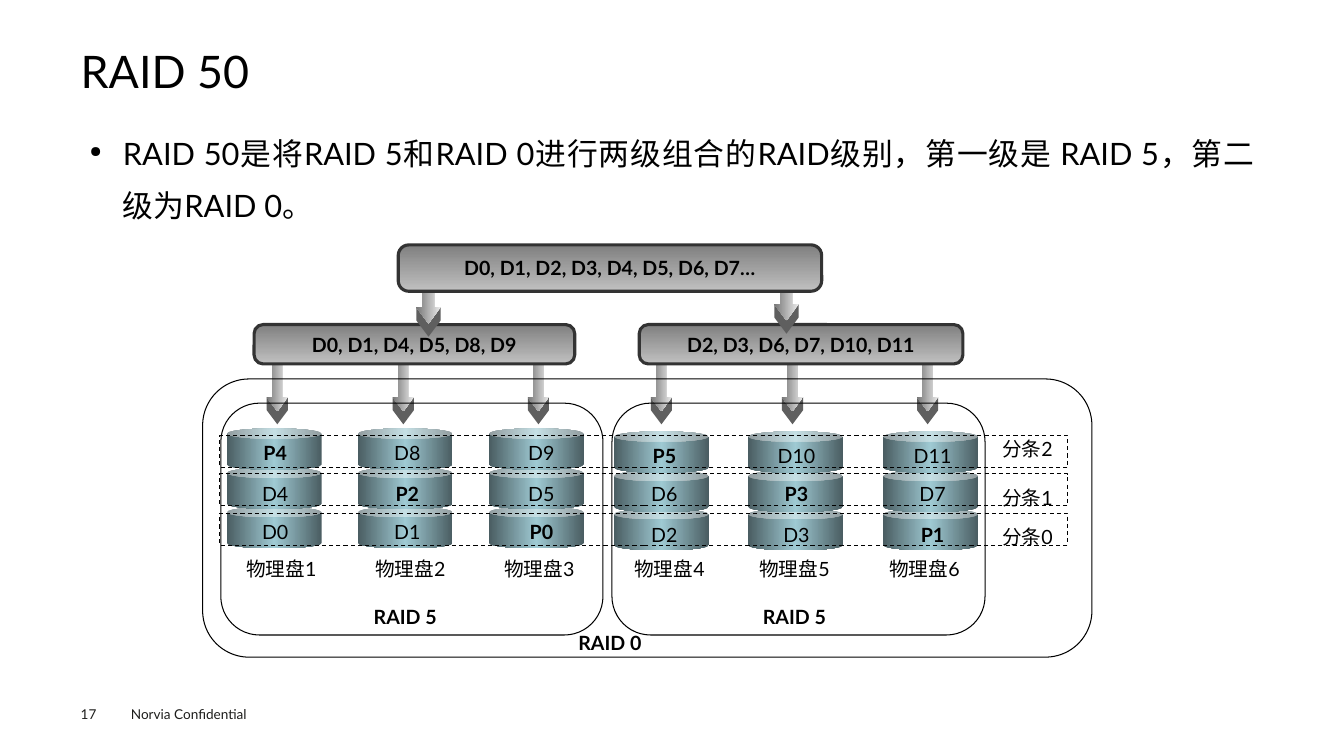
import pptx
import pptx.dml.color
import pptx.enum.dml
import pptx.enum.shapes
import pptx.enum.text
import pptx.oxml
import pptx.oxml.ns
import pptx.util
from pptx.util import Inches

SHAPES = pptx.enum.shapes.MSO_SHAPE
ALIGN = pptx.enum.text.PP_ALIGN
ANCHOR = pptx.enum.text.MSO_ANCHOR
FONT = "Lato"
BLACK = "000000"
ARROW_STOPS = [(0, "EAEAEA"), (100, "777777")]
BOX_STOPS = [(0, "808080"), (100, "C0C0C0")]
DISK_STOPS = [(0, "4A5D62"), (50, "9FCAD3"), (100, "4A5D62")]
HEAD_RATIO = 0.667
HEAD_DEPTH = 0.13
DISK_WIDTH = 0.94
DISK_HEIGHT = 0.41
TEXT_HEIGHT = 0.34

# Disk left, label centre, caption centre, arrow centre, blocks from the top down
DISKS = [
    (2.25, 2.73, 2.79, 2.75, ["P4", "D4", "D0"]),
    (3.55, 4.04, 4.07, 4.0, ["D8", "P2", "D1"]),
    (4.85, 5.37, 5.35, 5.34, ["D9", "D5", "P0"]),
    (6.09, 6.59, 6.64, 6.56, ["P5", "D6", "D2"]),
    (7.42, 7.9, 7.88, 7.86, ["D10", "P3", "D3"]),
    (8.76, 9.25, 9.17, 9.2, ["D11", "D7", "P1"]),
]
# Block tops and label tops in the two RAID 5 groups
LEFT_ROWS = [(4.25, 4.33), (4.64, 4.73), (5.03, 5.11)]
RIGHT_ROWS = [(4.28, 4.36), (4.67, 4.73), (5.05, 5.14)]


def color(value):
    return pptx.dml.color.RGBColor.from_string(value)


def style_paragraph(paragraph, size, text_color=BLACK, bold=False, align=ALIGN.LEFT):
    paragraph.alignment = align
    paragraph.font.name = FONT
    paragraph.font.size = pptx.util.Pt(size)
    paragraph.font.bold = bold
    paragraph.font.color.rgb = color(text_color)


def add_text(slide, text, left, top, width, height, size, insets=(0, 0), text_color=BLACK):
    """Add a left-aligned text box and return its paragraph."""
    frame = slide.shapes.add_textbox(
        Inches(left), Inches(top), Inches(width), Inches(height)).text_frame
    frame.word_wrap = True
    frame.margin_left = frame.margin_right = Inches(insets[0])
    frame.margin_top = frame.margin_bottom = Inches(insets[1])
    paragraph = frame.paragraphs[0]
    paragraph.text = text
    style_paragraph(paragraph, size, text_color)
    return paragraph


def add_label(slide, text, center, top, width=DISK_WIDTH, bold=False):
    paragraph = add_text(slide, text, center - width / 2, top, width, TEXT_HEIGHT, 14, (0, 0.05))
    style_paragraph(paragraph, 14, bold=bold, align=ALIGN.CENTER)


def add_plain_shape(slide, kind, left, top, width, height, adjustments=()):
    """Add a preset shape without shadow, fill or line."""
    shape = slide.shapes.add_shape(
        kind, Inches(left), Inches(top), Inches(width), Inches(height))
    shape.shadow.inherit = False
    shape.fill.background()
    shape.line.fill.background()
    for index, value in enumerate(adjustments):
        shape.adjustments[index] = value
    return shape


def set_gradient(shape, stops, angle):
    """Fill with (percent, colour) stops; the angle runs counter-clockwise."""
    shape.fill.gradient()
    shape.fill.gradient_angle = angle
    stop_list = shape._element.spPr.find(".//" + pptx.oxml.ns.qn("a:gsLst"))
    for stop in list(stop_list):
        stop_list.remove(stop)
    for percent, value in stops:
        stop_list.append(pptx.oxml.parse_xml(
            f'<a:gs {pptx.oxml.ns.nsdecls("a")} pos="{percent * 1000}">'
            f'<a:srgbClr val="{value}"/></a:gs>'))


def set_line(shape, value, width):
    shape.line.color.rgb = color(value)
    shape.line.width = pptx.util.Pt(width)


def add_outline(slide, kind, left, top, width, height, dashed=False):
    shape = add_plain_shape(slide, kind, left, top, width, height)
    set_line(shape, BLACK, 0.75)
    if dashed:
        shape.line.dash_style = pptx.enum.dml.MSO_LINE.DASH


def add_data_box(slide, text, left, top, width, height):
    box = add_plain_shape(slide, SHAPES.ROUNDED_RECTANGLE, left, top, width, height, [0.228])
    set_gradient(box, BOX_STOPS, 270)
    set_line(box, "333333", 2.25)
    frame = box.text_frame
    frame.vertical_anchor = ANCHOR.MIDDLE
    frame.margin_top = frame.margin_bottom = 0
    frame.paragraphs[0].text = text
    style_paragraph(frame.paragraphs[0], 14, bold=True, align=ALIGN.CENTER)


def add_downward(slide, kind, center, top, length, width, adjustments):
    """Add a right-pointing preset turned to point down."""
    shape = add_plain_shape(slide, kind, center - length / 2, top + (length - width) / 2,
                            length, width, adjustments)
    shape.rotation = 90
    return shape


def add_down_arrow(slide, center, top, length, width):
    """Add an arrow with a dark chevron below its head, for depth."""
    head = HEAD_RATIO * width
    edge = add_downward(slide, SHAPES.CHEVRON, center, top + length - head,
                        head + HEAD_DEPTH, width, [HEAD_RATIO])
    edge.fill.solid()
    edge.fill.fore_color.rgb = color("5F5F5F")
    arrow = add_downward(slide, SHAPES.RIGHT_ARROW, center, top, length, width,
                         [0.5, HEAD_RATIO])
    set_gradient(arrow, ARROW_STOPS, 270)


def add_disk(slide, left, label_center, blocks, rows):
    """Stack the blocks from the bottom up, then label them."""
    for block_top, _ in reversed(rows):
        can = add_plain_shape(slide, SHAPES.CAN, left, block_top, DISK_WIDTH, DISK_HEIGHT, [0.25])
        set_gradient(can, DISK_STOPS, 0)
    for block, (_, label_top) in zip(blocks, rows):
        add_label(slide, block, label_center, label_top, bold=block.startswith("P"))


def add_bullet(paragraph):
    properties = paragraph._p.get_or_add_pPr()
    properties.set("marL", str(Inches(0.33)))
    properties.set("indent", str(-Inches(0.33)))
    namespace = pptx.oxml.ns.nsdecls("a")
    for tag in ('buSzPct {} val="50000"', 'buChar {} char="●"'):
        properties.append(pptx.oxml.parse_xml(f"<a:{tag.format(namespace)}/>"))


def add_slide_text(slide):
    add_text(slide, "Norvia Confidential", 1.2, 6.95, 1.6, 0.27, 9.7, (0.1, 0.05), "1D1D1B")
    add_text(slide, "17", 0.8, 7, 0.55, 0.16, 9.7, text_color="1D1D1B")
    title = add_text(slide, "RAID 50", 0.8, 0.49, 11.73, 0.53, 32)
    title.line_spacing = 0.9
    body = add_text(
        slide,
        "RAID 50是将RAID 5和RAID 0进行两级组合的RAID级别，第一级是 RAID 5，第二级为RAID 0。",
        0.8, 1.15, 11.73, 1.2, 22, (0.09, 0.04))
    body.line_spacing = 1.4
    body.alignment = ALIGN.JUSTIFY
    add_bullet(body)


def add_diagram(slide):
    for index, (left, label_center, _, arrow_center, blocks) in enumerate(DISKS):
        add_down_arrow(slide, arrow_center, 3.49, 0.59, 0.21)
        add_disk(slide, left, label_center, blocks, LEFT_ROWS if index < 3 else RIGHT_ROWS)
    add_data_box(slide, "D0, D1, D4, D5, D8, D9", 2.52, 3.22, 3.18, 0.39)
    add_data_box(slide, "D2, D3, D6, D7, D10, D11", 6.34, 3.22, 3.21, 0.39)

    for stripe, (top, label_top) in enumerate([(5.09, 5.16), (4.7, 4.77), (4.32, 4.29)]):
        add_outline(slide, SHAPES.RECTANGLE, 2.18, top, 8.41, 0.32, dashed=True)
        add_label(slide, f"分条{stripe}", 10.19, label_top)

    add_down_arrow(slide, 7.8, 2.55, 0.63, 0.24)
    add_down_arrow(slide, 4.25, 2.58, 0.63, 0.24)
    add_data_box(slide, "D0, D1, D2, D3, D4, D5, D6, D7…", 3.95, 2.43, 4.2, 0.46)

    for number, disk in enumerate(DISKS, start=1):
        add_label(slide, f"物理盘{number}", disk[2], 5.48, 1.2)

    for name, center, label_top, left, top, width, height in [
        ("RAID 5", 4.02, 5.95, 2.19, 4, 3.79, 2.3),
        ("RAID 5", 7.88, 5.95, 6.07, 4, 3.7, 2.3),
        ("RAID 0", 6.05, 6.21, 2.01, 3.76, 8.82, 2.76),
    ]:
        add_outline(slide, SHAPES.ROUNDED_RECTANGLE, left, top, width, height)
        add_label(slide, name, center, label_top, bold=True)


def main():
    presentation = pptx.Presentation()
    presentation.slide_width = Inches(13.33)
    presentation.slide_height = Inches(7.5)
    slide = presentation.slides.add_slide(presentation.slide_layouts[6])
    add_slide_text(slide)
    add_diagram(slide)
    presentation.save("out.pptx")


if __name__ == "__main__":
    main()
